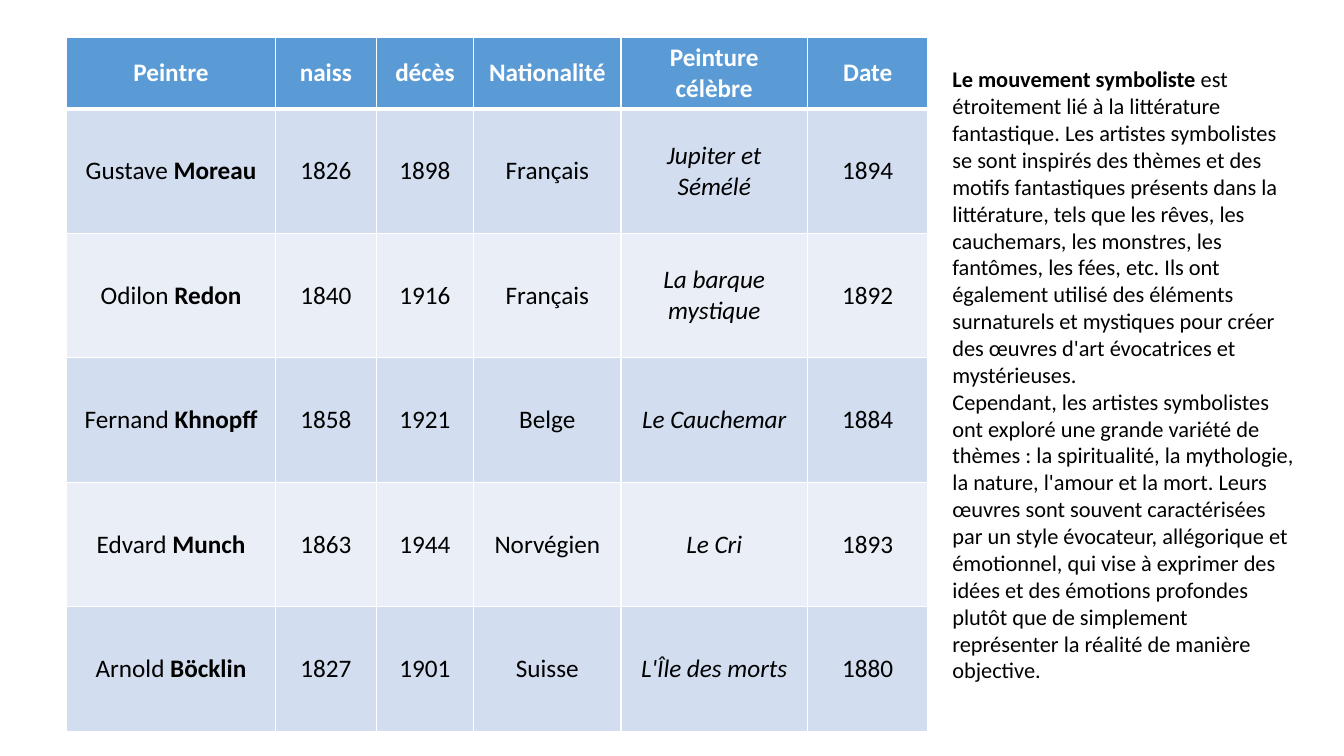
from lxml import etree
from pptx import Presentation
from pptx.dml.color import RGBColor
from pptx.enum.text import MSO_ANCHOR, MSO_AUTO_SIZE, PP_ALIGN
from pptx.oxml.ns import qn
from pptx.util import Pt

CENTER = PP_ALIGN.CENTER
MIDDLE = MSO_ANCHOR.MIDDLE
GROW = MSO_AUTO_SIZE.SHAPE_TO_FIT_TEXT
WHITE = RGBColor(0xFF, 0xFF, 0xFF)
BLACK = RGBColor(0x00, 0x00, 0x00)
HEADER_BLUE = RGBColor(0x5B, 0x9B, 0xD5)
BAND_BLUES = (RGBColor(0xD2, 0xDE, 0xEF), RGBColor(0xEA, 0xEF, 0xF7))

COLUMN_WIDTHS = (149.2, 72, 69.6, 105.2, 133.2, 86.2)
HEADER_HEIGHT, ROW_HEIGHT = 50, 88.9
HEADINGS = ("Peintre", "naiss", "décès", "Nationalité", "Peinture célèbre", "Date")
PAINTERS = (
    ("Gustave", "Moreau", "1826", "1898", "Français", "Jupiter et Sémélé", "1894"),
    ("Odilon", "Redon", "1840", "1916", "Français", "La barque mystique", "1892"),
    ("Fernand", "Khnopff", "1858", "1921", "Belge", "Le Cauchemar", "1884"),
    ("Edvard", "Munch", "1863", "1944", "Norvégien", "Le Cri", "1893"),
    ("Arnold", "Böcklin", "1827", "1901", "Suisse", "L'Île des morts", "1880"),
)
MOVEMENT = (
    (("Le mouvement symboliste ", True),
     ("est étroitement lié à la littérature fantastique. Les artistes symbolistes "
      "se sont inspirés des thèmes et des motifs fantastiques présents dans la "
      "littérature, tels que les rêves, les cauchemars, les monstres, les fantômes, "
      "les fées, etc. Ils ont également utilisé des éléments surnaturels et mystiques "
      "pour créer des œuvres d'art évocatrices et mystérieuses.", False)),
    (("Cependant, les artistes symbolistes ont exploré une grande variété de thèmes : "
      "la spiritualité, la mythologie, la nature, l'amour et la mort. Leurs œuvres "
      "sont souvent caractérisées par un style évocateur, allégorique et émotionnel, "
      "qui vise à exprimer des idées et des émotions profondes plutôt que de "
      "simplement représenter la réalité de manière objective.", False),),
)


class SlideBuilder:
    """Adds elements in one shared style to the current slide."""

    def __init__(self, slide, font_name):
        self.slide = slide
        self.font_name = font_name

    def add_span(self, para, text, size, color=BLACK, bold=False, italic=False):
        span = para.add_run()
        span.text = text
        font = span.font
        font.name, font.size = self.font_name, Pt(size)
        font.bold, font.italic = bold, italic
        font.color.rgb = color

    def add_borders(self, cell, widths):
        properties = cell._tc.get_or_add_tcPr()
        for side, width in widths.items():
            line = etree.SubElement(properties, qn(f"a:ln{side}"), w=str(Pt(width)))
            fill = etree.SubElement(line, qn("a:solidFill"))
            etree.SubElement(fill, qn("a:srgbClr"), val=str(WHITE))

    def fill_cell(self, cell, spans, fill, top=1, bottom=1):
        self.add_borders(cell, {"L": 1, "R": 1, "T": top, "B": bottom})
        cell.fill.solid()
        cell.fill.fore_color.rgb = fill
        cell.vertical_anchor = MIDDLE
        para = cell.text_frame.paragraphs[0]
        para.alignment = CENTER
        for text, style in spans:
            self.add_span(para, text, 18, **style)

    def add_painter_table(self, left, top):
        height = HEADER_HEIGHT + ROW_HEIGHT * len(PAINTERS)
        table = self.slide.shapes.add_table(
            len(PAINTERS) + 1, len(HEADINGS), Pt(left), Pt(top),
            Pt(sum(COLUMN_WIDTHS)), Pt(height)).table
        for column, width in zip(table.columns, COLUMN_WIDTHS):
            column.width = Pt(width)
        for row in table.rows:
            row.height = Pt(ROW_HEIGHT)
        table.rows[0].height = Pt(HEADER_HEIGHT)
        for column, heading in enumerate(HEADINGS):
            self.fill_cell(table.cell(0, column),
                           [(heading, {"color": WHITE, "bold": True})],
                           HEADER_BLUE, bottom=3)
        for row, (first, last, *facts) in enumerate(PAINTERS, 1):
            contents = [[(first + " ", {}), (last, {"bold": True})]]
            contents += [[(fact, {"italic": column == 4})]
                         for column, fact in enumerate(facts, 1)]
            for column, spans in enumerate(contents):
                self.fill_cell(table.cell(row, column), spans,
                               BAND_BLUES[(row - 1) % 2], top=3 if row == 1 else 1)

    def add_text(self, left, top, width, height, paragraphs):
        box = self.slide.shapes.add_textbox(Pt(left), Pt(top), Pt(width), Pt(height))
        frame = box.text_frame
        frame.word_wrap = True
        frame.auto_size = GROW
        for index, spans in enumerate(paragraphs):
            para = frame.add_paragraph() if index else frame.paragraphs[0]
            for text, bold in spans:
                self.add_span(para, text, 16, bold=bold)


def main():
    deck = Presentation()
    deck.slide_width, deck.slide_height = Pt(960), Pt(540)
    page = SlideBuilder(deck.slides.add_slide(deck.slide_layouts[6]), "Calibri")
    page.add_painter_table(47.6, 26.6)
    page.add_text(673.2, 43.2, 260.6, 452.9, MOVEMENT)
    deck.save("out.pptx")


if __name__ == "__main__":
    main()
